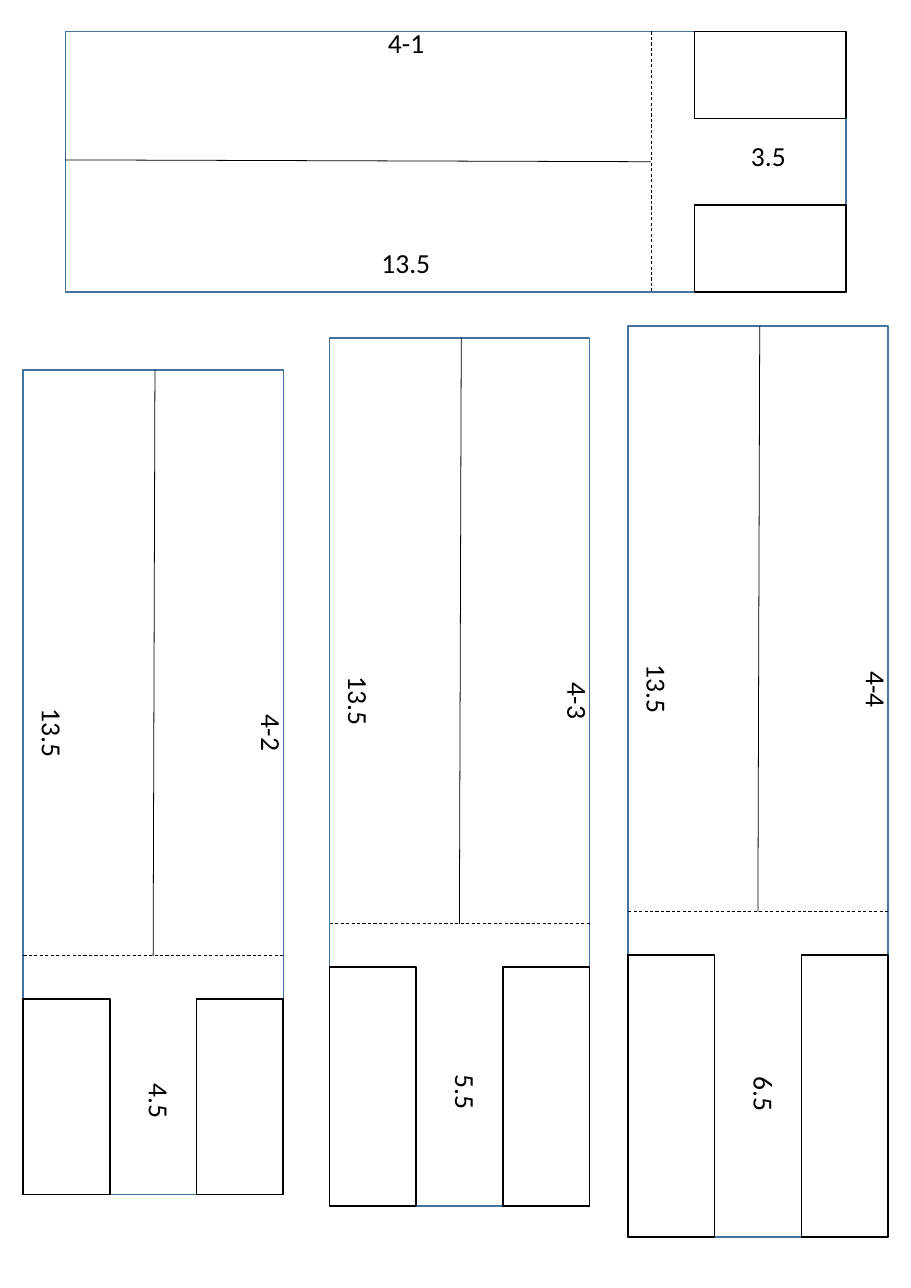
"""Draw four tabbed fold-up cards with their dimensions in centimetres."""
from lxml import etree
from pptx import Presentation
from pptx.dml.color import RGBColor
from pptx.enum.dml import MSO_LINE
from pptx.enum.shapes import MSO_CONNECTOR, MSO_SHAPE
from pptx.enum.text import MSO_AUTO_SIZE
from pptx.oxml.ns import qn
from pptx.util import Pt

RECTANGLE = MSO_SHAPE.RECTANGLE
STRAIGHT = MSO_CONNECTOR.STRAIGHT
DASH = MSO_LINE.DASH
FIT_SHAPE = MSO_AUTO_SIZE.SHAPE_TO_FIT_TEXT
BLACK = RGBColor(0x00, 0x00, 0x00)
BLUE = RGBColor(0x43, 0x73, 0x9E)

CARDS = [
    {"name": "4-1", "tab": "3.5", "left": 42.8, "top": 20.6,
     "turn": 270, "name_at": 219.2, "tab_at": 456},
    {"name": "4-2", "tab": "4.5", "left": 15.1, "top": 241.9,
     "turn": 0, "name_at": 233.6, "tab_at": 474.5},
    {"name": "4-3", "tab": "5.5", "left": 215.3, "top": 221,
     "turn": 0, "name_at": 233.6, "tab_at": 489},
    {"name": "4-4", "tab": "6.5", "left": 410.4, "top": 213.1,
     "turn": 0, "name_at": 234, "tab_at": 498.2},
]
BODY_LABEL = "13.5"

CM = 28.35
CARD_WIDTH = 6 * CM
CUT_WIDTH = 2 * CM
BODY_LENGTH = float(BODY_LABEL) * CM
CUT_START = BODY_LENGTH + CM
FOLD_TOP, FOLD_BOTTOM = 86.2, 85
LABEL_WIDTH = 36


def place(card, across, along):
    """Turn a position on a card into a position on the page."""
    if card["turn"]:
        return card["left"] + along, card["top"] + CARD_WIDTH - across
    return card["left"] + across, card["top"] + along


def frame(card, across, along, width, length):
    """Return the unrotated frame of a box given by its centre on a card."""
    x, y = place(card, across, along)
    return Pt(x - width / 2), Pt(y - length / 2), Pt(width), Pt(length)


def add_outline(group, card, across, along, width, length, color):
    """Add an unfilled rectangle given by its corner on a card."""
    centre = across + width / 2, along + length / 2
    box = group.shapes.add_shape(RECTANGLE, *frame(card, *centre, width, length))
    box.rotation = card["turn"]
    box.shadow.inherit = False
    box.fill.background()
    box.line.color.rgb = color
    box.line.width = Pt(1)


def add_line(group, card, start, end, dash=None):
    """Add a thin black line between two positions on a card."""
    ends = [Pt(value) for value in place(card, *start) + place(card, *end)]
    line = group.shapes.add_connector(STRAIGHT, *ends)
    line.line.color.rgb = BLACK
    line.line.width = Pt(0.5)
    if dash:
        line.line.dash_style = dash
    etree.SubElement(line._element.spPr, qn("a:effectLst"))


def add_label(group, card, text, across, along, length):
    """Add vertical text centred at a position on a card."""
    box = group.shapes.add_textbox(*frame(card, across, along, LABEL_WIDTH, length))
    box.rotation = card["turn"]
    box.text_frame.text = text
    box.text_frame.word_wrap = False
    box.text_frame.auto_size = FIT_SHAPE
    box.text_frame._txBody.bodyPr.set("vert", "eaVert")
    font = box.text_frame.paragraphs[0].runs[0].font
    font.name = "Calibri"
    font.size = Pt(18)
    font.color.rgb = BLACK


def add_card(page, card):
    """Add one card with its fold lines, cut-outs and labels."""
    group = page.shapes.add_group_shape()
    tab_length = float(card["tab"]) * CM
    add_outline(group, card, 0, 0, CARD_WIDTH, CUT_START + tab_length, BLUE)
    add_line(group, card, (FOLD_TOP, 0), (FOLD_BOTTOM, BODY_LENGTH))
    for across in (0, CARD_WIDTH - CUT_WIDTH):
        add_outline(group, card, across, CUT_START, CUT_WIDTH, tab_length, BLACK)
    add_label(group, card, BODY_LABEL, 15.8, card["name_at"], 39.6)
    add_label(group, card, card["tab"], 85.7, card["tab_at"], 30.2)
    add_label(group, card, card["name"], 159.1, card["name_at"], 31)
    add_line(group, card, (CARD_WIDTH, BODY_LENGTH), (0, BODY_LENGTH), DASH)


def main():
    """Build the deck and save it."""
    deck = Presentation()
    deck.slide_width, deck.slide_height = Pt(595.44), Pt(841.68)
    page = deck.slides.add_slide(deck.slide_layouts[6])
    for card in CARDS:
        add_card(page, card)
    deck.save("out.pptx")


if __name__ == "__main__":
    main()
